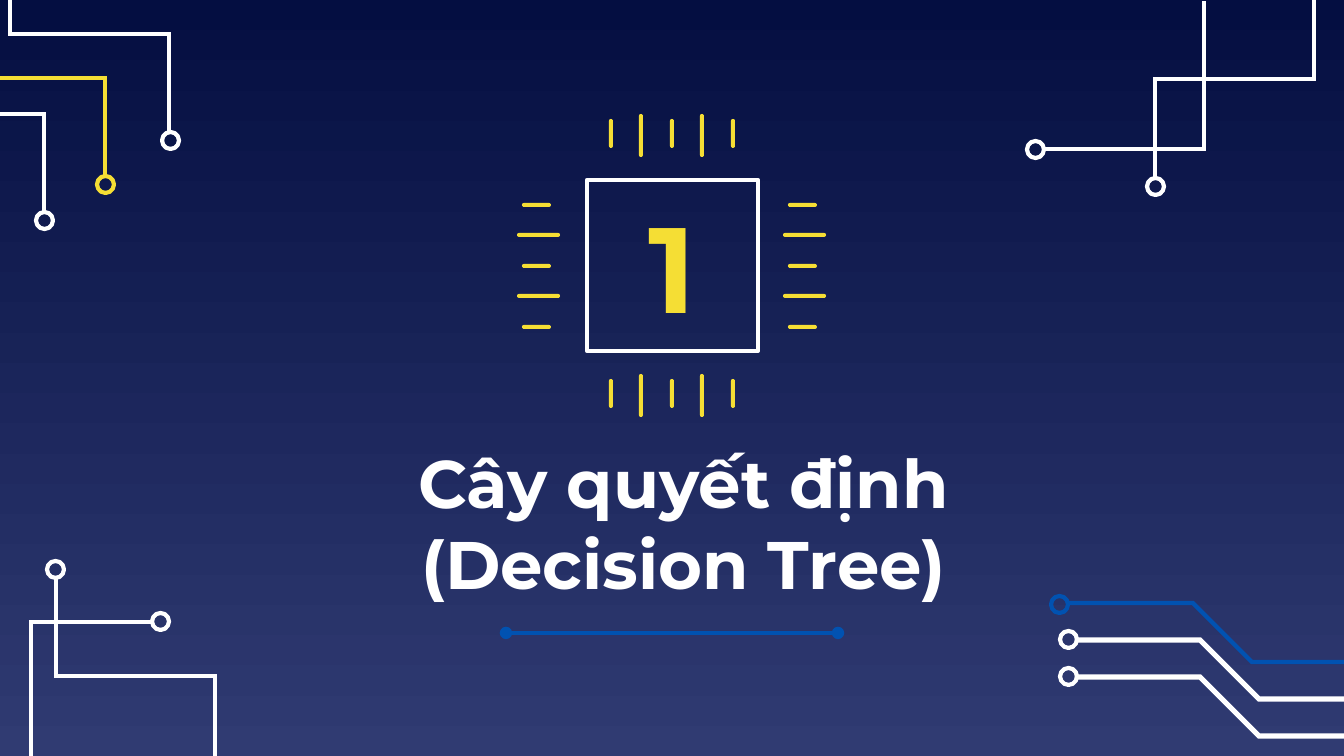
from lxml import etree
from pptx import Presentation
from pptx import util as u
from pptx.dml.color import RGBColor
from pptx.enum import shapes, text
from pptx.oxml import ns

PX = 914400 / 134.4
WHITE, YELLOW, BLUE = "FFFFFF", "F5DE34", "0152B1"
FONT = "Montserrat"

# Circuit traces: colour, line width, ring centre, corner points
TRACES = [
    (BLUE, 2.25, (1059, 604), [(1068, 603), (1193, 603), (1252, 662), (1344, 662)]),
    (WHITE, 2.75, (1068, 639), [(1075, 640), (1200, 640), (1259, 699), (1344, 699)]),
    (WHITE, 2.75, (1068, 676), [(1075, 677), (1200, 677), (1259, 736), (1344, 736)]),
    (WHITE, 2.25, (55, 569), [(56, 576), (56, 676), (215, 676), (215, 756)]),
    (WHITE, 2.25, (160, 621), [(152, 622), (31, 622), (31, 756)]),
    (WHITE, 2.25, (1035, 149), [(1042, 149), (1204, 149), (1204, 1)]),
    (WHITE, 2.25, (1155, 186), [(1155, 179), (1155, 79), (1314, 79), (1314, 0)]),
    (WHITE, 2.25, (44, 220), [(44, 213), (44, 114), (0, 114)]),
    (YELLOW, 2.25, (105, 184), [(105, 178), (105, 78), (0, 78)]),
    (WHITE, 2.25, (170, 140), [(169, 134), (169, 34), (10, 34), (10, 0)]),
]


def px(*lengths):
    return [u.Emu(round(length * PX)) for length in lengths]


def colour(code):
    return RGBColor.from_string(code)


def set_line(shape, code, width):
    shape.line.color.rgb = colour(code)
    shape.line.width = u.Pt(width)


def add_line_part(shape, tag, **values):
    line = shape.line._get_or_add_ln()
    etree.SubElement(line, ns.qn(tag), values)


def add_shape(page, kind, box, fill=None):
    shape = page.shapes.add_shape(kind, *px(*box))
    shape.shadow.inherit = False
    if fill:
        shape.fill.solid()
        shape.fill.fore_color.rgb = colour(fill)
        shape.line.fill.background()
    else:
        shape.fill.background()
    return shape


def add_trace(page, code, width, ring_centre, points):
    builder = page.shapes.build_freeform(*points[0], scale=PX)
    builder.add_line_segments(points[1:], close=False)
    trace = builder.convert_to_shape()
    trace.shadow.inherit = False
    trace.fill.background()
    set_line(trace, code, width)
    add_line_part(trace, "a:miter", lim="800000")

    x, y = ring_centre
    ring = add_shape(page, shapes.MSO_SHAPE.OVAL, (x - 8, y - 8, 17, 17))
    set_line(ring, code, 2.25)


def add_pins(page, left, top, upright):
    """Five pins in a row or column, alternately short and long."""
    for index in range(5):
        inset, length = ((5, 29), (0, 43))[index % 2]
        step = round(30.4 * index)
        if upright:
            box = (left + step, top + inset, 4, length)
        else:
            box = (left + inset, top + step, length, 4)
        pin = add_shape(page, shapes.MSO_SHAPE.ROUNDED_RECTANGLE, box, YELLOW)
        pin.adjustments[0] = 0.5


def write(shape, words, size, code):
    frame = shape.text_frame
    settings = {
        "word_wrap": True,
        "auto_size": text.MSO_AUTO_SIZE.NONE,
        "vertical_anchor": text.MSO_ANCHOR.MIDDLE,
    }
    for side in ("left", "right", "top", "bottom"):
        settings["margin_" + side] = u.Inches(0.1)
    for name, value in settings.items():
        setattr(frame, name, value)
    para = frame.paragraphs[0]
    para.alignment = text.PP_ALIGN.CENTER
    span = para.add_run()
    span.text = words
    for name, value in {"name": FONT, "size": u.Pt(size), "bold": True}.items():
        setattr(span.font, name, value)
    span.font.color.rgb = colour(code)


def add_underline(page, start, end, y):
    rule = page.shapes.add_connector(
        shapes.MSO_CONNECTOR.STRAIGHT, *px(start, y, end, y))
    set_line(rule, BLUE, 2.25)
    add_line_part(rule, "a:headEnd", type="oval")
    add_line_part(rule, "a:tailEnd", type="oval")
    etree.SubElement(rule._element.spPr, ns.qn("a:effectLst"))


def set_background(page, top, bottom):
    fill = page.background.fill
    fill.gradient()
    fill.gradient_angle = 270
    for stop, code, position in zip(fill.gradient_stops, (top, bottom), (0, 1)):
        stop.color.rgb = colour(code)
        stop.position = position


def main():
    deck = Presentation()
    deck.slide_width, deck.slide_height = px(1344, 756)
    page = deck.slides.add_slide(deck.slide_layouts[5])
    set_background(page, "040E41", "303B72")

    # Corner circuits
    for trace in TRACES:
        add_trace(page, *trace)

    # Section title
    title = page.shapes.title
    title.left, title.top, title.width, title.height = px(382, 435, 603, 174)
    write(title, "Cây quyết định (Decision Tree)", 36, WHITE)
    add_underline(page, 506, 838, 633)

    # Numbered chip with pins on each side
    chip = add_shape(page, shapes.MSO_SHAPE.RECTANGLE, (587, 180, 171, 171))
    set_line(chip, WHITE, 2.25)
    write(chip, "1", 65, YELLOW)
    for left, top, upright in [(517, 203, False), (783, 203, False),
                               (609, 114, True), (609, 374, True)]:
        add_pins(page, left, top, upright)

    deck.save("out.pptx")


if __name__ == "__main__":
    main()
